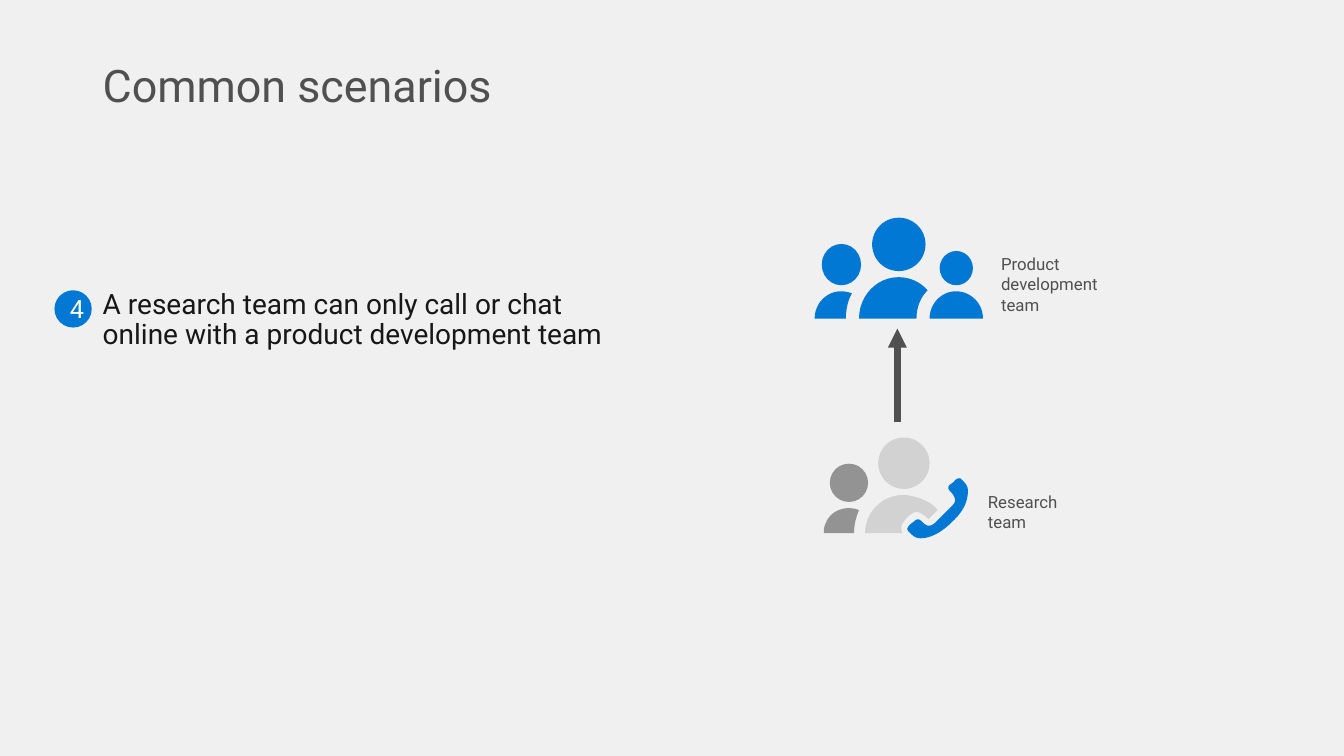
"""Build the slide on a product team that is reached by call or chat only."""

from dataclasses import dataclass

from lxml.etree import SubElement
from pptx import Presentation
from pptx.dml.color import RGBColor
from pptx.enum.shapes import MSO_CONNECTOR, MSO_SHAPE
from pptx.enum.text import MSO_ANCHOR, PP_ALIGN
from pptx.oxml.ns import qn
from pptx.shapes.base import BaseShape
from pptx.slide import Slide
from pptx.util import Inches, Pt

COLUMNS, ROWS = 1333, 750
CURVE_STEPS = 12


@dataclass(frozen=True)
class Theme:
    font: str = "Roboto"
    background: str = "F0F0F0"
    accent: str = "0078D4"
    muted: str = "505050"
    body: str = "171717"
    white: str = "FFFFFF"
    light_gray: str = "D2D2D2"
    mid_gray: str = "939393"
    title_size: int = 32
    body_size: int = 20
    number_size: int = 18
    label_size: int = 12
    arrow_width: float = 4.5


@dataclass(frozen=True)
class Area:
    column: float
    row: float
    columns: float
    rows: float


@dataclass(frozen=True)
class Label:
    text: str
    area: Area
    size: int
    color: str
    line_spacing: float = 1.0
    anchor: MSO_ANCHOR = MSO_ANCHOR.TOP


@dataclass(frozen=True)
class Head:
    area: Area
    color: str


@dataclass(frozen=True)
class Outline:
    """Start point, then steps of two numbers for a line or six for a curve."""
    start: tuple[int, int]
    steps: tuple[tuple[int, ...], ...]
    color: str


THEME = Theme()

LABELS = (
    Label("Common scenarios", Area(92, 51, 1150, 73), THEME.title_size,
          THEME.muted, 0.9, MSO_ANCHOR.MIDDLE),
    Label("A research team can only call or chat online with a product development team",
          Area(92, 283, 522, 393), THEME.body_size, THEME.body, 0.9),
    Label("Product development team", Area(983, 247, 132, 71), THEME.label_size, THEME.muted),
    Label("Research team", Area(970, 483, 97, 50), THEME.label_size, THEME.muted),
)

HEADS = (
    Head(Area(815, 242, 39, 41), THEME.accent),
    Head(Area(865, 216, 53, 53), THEME.accent),
    Head(Area(932, 249, 33, 34), THEME.accent),
    Head(Area(823, 460, 38, 38), THEME.mid_gray),
    Head(Area(871, 434, 51, 51), THEME.light_gray),
)

BODIES = (
    Outline((808, 316), ((839, 316), (839, 307, 841, 298, 845, 291),
                         (842, 290, 838, 289, 834, 289),
                         (820, 289, 808, 301, 808, 316)), THEME.accent),
    Outline((852, 316), ((852, 294, 869, 275, 891, 275),
                         (903, 275, 913, 280, 920, 288),
                         (913, 295, 909, 305, 909, 316)), THEME.accent),
    Outline((922, 316), ((922, 301, 934, 289, 948, 289),
                         (963, 289, 975, 301, 975, 316)), THEME.accent),
    Outline((817, 529), ((847, 529), (847, 521, 849, 513, 852, 506),
                         (839, 501, 824, 506, 819, 519),
                         (817, 523, 817, 526, 817, 529)), THEME.mid_gray),
    Outline((896, 491), ((875, 491, 858, 508, 858, 529), (895, 529),
                         (894, 527, 894, 524, 894, 522),
                         (895, 518, 903, 508, 909, 508),
                         (914, 508, 921, 515, 921, 515), (930, 506),
                         (922, 495, 902, 491, 896, 491)), THEME.light_gray),
)

PHONE = Outline((960, 487), (
    (960, 499, 954, 509, 944, 518), (935, 527, 924, 534, 913, 534),
    (909, 534, 906, 532, 904, 530), (901, 527),
    (899, 525, 900, 523, 903, 520), (907, 517),
    (910, 514, 912, 515, 915, 518), (919, 522, 922, 523, 927, 519), (945, 501),
    (949, 497, 947, 493, 944, 489), (941, 486, 939, 484, 942, 481), (946, 478),
    (949, 474, 952, 474, 953, 475), (956, 478),
    (959, 481, 960, 484, 960, 487)), THEME.accent)

NUMBER_AREA = Area(54, 288, 37, 37)
ARROW_COLUMN, ARROW_START_ROW, ARROW_END_ROW = 890, 419, 326


def cells(count: float) -> int:
    """Turn a count of grid cells into a slide length."""
    return Inches(count / 100)


def place(area: Area) -> tuple[int, ...]:
    """Give the left, top, width and height of an area."""
    return tuple(map(cells, (area.column, area.row, area.columns, area.rows)))


def write(shape: BaseShape, text: str, *, size: int, color: str, line_spacing: float = 1.0,
          anchor: MSO_ANCHOR = MSO_ANCHOR.TOP, align: PP_ALIGN = PP_ALIGN.LEFT) -> None:
    """Write formatted text into a shape."""
    frame = shape.text_frame
    frame.word_wrap = True
    frame.vertical_anchor = anchor
    para = frame.paragraphs[0]
    para.alignment = align
    para.line_spacing = line_spacing
    span = para.add_run()
    span.text = text
    span.font.name = THEME.font
    span.font.size = Pt(size)
    span.font.color.rgb = RGBColor.from_string(color)


def paint(shape: BaseShape, color: str) -> None:
    """Give a shape a flat fill without line or shadow."""
    shape.shadow.inherit = False
    shape.fill.solid()
    shape.fill.fore_color.rgb = RGBColor.from_string(color)
    shape.line.fill.background()


def draw_label(page: Slide, label: Label) -> None:
    """Draw a text box."""
    box = page.shapes.add_textbox(*place(label.area))
    write(box, label.text, size=label.size, color=label.color,
          line_spacing=label.line_spacing, anchor=label.anchor)


def draw_oval(page: Slide, area: Area, color: str) -> BaseShape:
    """Draw a filled oval."""
    oval = page.shapes.add_shape(MSO_SHAPE.OVAL, *place(area))
    paint(oval, color)
    return oval


def curve_point(points: list[tuple[float, float]], share: float) -> tuple[float, float]:
    """Find the point at a share of a Bezier curve."""
    while len(points) > 1:
        points = [(x + (u - x) * share, y + (v - y) * share)
                  for (x, y), (u, v) in zip(points, points[1:])]
    return points[0]


def draw_outline(page: Slide, outline: Outline) -> None:
    """Draw a closed outline of lines and curves."""
    points = [outline.start]
    for step in outline.steps:
        controls = [points[-1], *zip(step[::2], step[1::2])]
        count = CURVE_STEPS if len(step) > 2 else 1
        points += [curve_point(controls, index / count) for index in range(1, count + 1)]
    grid_points = [(cells(x), cells(y)) for x, y in points]
    builder = page.shapes.build_freeform(*grid_points[0])
    builder.add_line_segments(grid_points[1:], close=True)
    paint(builder.convert_to_shape(), outline.color)


def draw_arrow(page: Slide) -> None:
    """Draw the arrow from the research team up to the product team."""
    arrow = page.shapes.add_connector(
        MSO_CONNECTOR.STRAIGHT, cells(ARROW_COLUMN), cells(ARROW_START_ROW),
        cells(ARROW_COLUMN), cells(ARROW_END_ROW))
    arrow.line.color.rgb = RGBColor.from_string(THEME.muted)
    arrow.line.width = Pt(THEME.arrow_width)
    properties = arrow.element.spPr
    SubElement(properties.find(qn("a:ln")), qn("a:tailEnd"), type="triangle")
    SubElement(properties, qn("a:effectLst"))


def main() -> None:
    """Build and save the deck."""
    deck = Presentation()
    deck.slide_width, deck.slide_height = cells(COLUMNS), cells(ROWS)
    page = deck.slides.add_slide(deck.slide_layouts[6])
    page.background.fill.solid()
    page.background.fill.fore_color.rgb = RGBColor.from_string(THEME.background)
    for label in LABELS:
        draw_label(page, label)
    for head in HEADS:
        draw_oval(page, head.area, head.color)
    for outline in (*BODIES, PHONE):
        draw_outline(page, outline)
    draw_arrow(page)
    number = draw_oval(page, NUMBER_AREA, THEME.accent)
    write(number, "4", size=THEME.number_size, color=THEME.white,
          anchor=MSO_ANCHOR.MIDDLE, align=PP_ALIGN.CENTER)
    deck.save("out.pptx")


if __name__ == "__main__":
    main()
